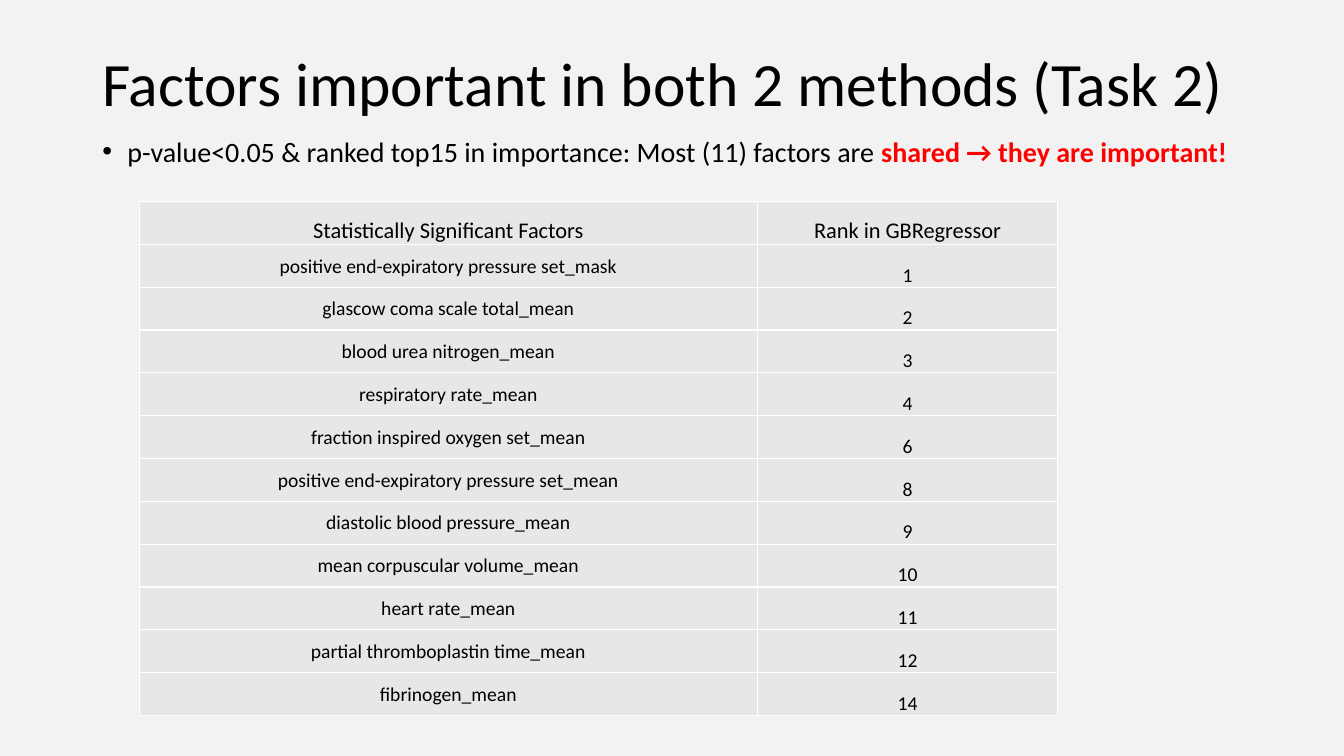
from lxml import etree
from pptx import Presentation
from pptx.dml.color import RGBColor
from pptx.enum.text import MSO_ANCHOR, PP_ALIGN
from pptx.oxml.ns import qn
from pptx.util import Pt

TOP, MIDDLE, BOTTOM = MSO_ANCHOR.TOP, MSO_ANCHOR.MIDDLE, MSO_ANCHOR.BOTTOM
CENTER = PP_ALIGN.CENTER
COLORS = {"page": "F2F2F2", "cell": "E7E7E7", "border": "FFFFFF", "text": "000000", "accent": "FF0000"}
HEADERS = ("Statistically Significant Factors", "Rank in GBRegressor")
FACTORS = (
    ("positive end-expiratory pressure set_mask", 1),
    ("glascow coma scale total_mean", 2),
    ("blood urea nitrogen_mean", 3),
    ("respiratory rate_mean", 4),
    ("fraction inspired oxygen set_mean", 6),
    ("positive end-expiratory pressure set_mean", 8),
    ("diastolic blood pressure_mean", 9),
    ("mean corpuscular volume_mean", 10),
    ("heart rate_mean", 11),
    ("partial thromboplastin time_mean", 12),
    ("fibrinogen_mean", 14),
)


def color(name):
    return RGBColor.from_string(COLORS[name])


def apply(target, values):
    for name, value in values.items():
        setattr(target, name, value)


class SlideBuilder:
    """Holds the text style and the current page, and adds elements to it."""

    def __init__(self, page, font="Calibri"):
        self.page = page
        self.font = font
        fill = page.background.fill
        fill.solid()
        fill.fore_color.rgb = color("page")

    def add_span(self, para, text, size, tone="text", bold=False):
        span = para.add_run()
        span.text = text
        apply(span.font, {"name": self.font, "size": Pt(size), "bold": bold})
        span.font.color.rgb = color(tone)

    def add_text(self, left, top, width, height, size, spans, anchor=TOP, **spacing):
        box = self.page.shapes.add_textbox(Pt(left), Pt(top), Pt(width), Pt(height))
        apply(box.text_frame, {"word_wrap": True, "vertical_anchor": anchor})
        para = box.text_frame.paragraphs[0]
        apply(para, {"line_spacing": 0.9, **spacing})
        for text, tone, bold in spans:
            self.add_span(para, text, size, tone, bold)
        return para

    def add_bullet(self, para, indent):
        properties = para._p.get_or_add_pPr()
        properties.set("marL", str(Pt(indent)))
        properties.set("indent", str(-Pt(indent)))
        etree.SubElement(properties, qn("a:buFont"), typeface="Arial")
        etree.SubElement(properties, qn("a:buChar"), char="•")

    def add_border(self, cell, width):
        properties = cell._tc.get_or_add_tcPr()
        for side in ("lnL", "lnR", "lnT", "lnB"):
            line = etree.SubElement(properties, qn(f"a:{side}"), w=str(Pt(width)))
            fill = etree.SubElement(line, qn("a:solidFill"))
            etree.SubElement(fill, qn("a:srgbClr"), val=COLORS["border"])

    def fill_cell(self, cell, text, size, anchor):
        self.add_border(cell, 1)
        cell.fill.solid()
        cell.fill.fore_color.rgb = color("cell")
        margins = dict.fromkeys(("margin_left", "margin_right", "margin_top"), Pt(0.7))
        apply(cell, {**margins, "margin_bottom": 0, "vertical_anchor": anchor})
        para = cell.text_frame.paragraphs[0]
        para.alignment = CENTER
        self.add_span(para, text, size)

    def add_table(self, left, top, widths, row_height, rows):
        frame = self.page.shapes.add_table(
            len(rows), len(widths), Pt(left), Pt(top), Pt(sum(widths)), Pt(row_height * len(rows)))
        table = frame.table
        for column, width in zip(table.columns, widths):
            column.width = Pt(width)
        for i, values in enumerate(rows):
            table.rows[i].height = Pt(row_height)
            for j, value in enumerate(values):
                anchor = MIDDLE if i and j == 0 else BOTTOM
                self.fill_cell(table.cell(i, j), str(value), 14 if i else 16, anchor)


def main():
    deck = Presentation()
    apply(deck, {"slide_width": Pt(960), "slide_height": Pt(540)})
    builder = SlideBuilder(deck.slides.add_slide(deck.slide_layouts[6]))
    builder.add_text(66, 28.75, 828, 66.25, 44,
                     [("Factors important in both 2 methods (Task 2)", "text", False)], MIDDLE)
    finding = builder.add_text(66, 95, 819.5, 196.5, 20, [
        ("p-value<0.05 & ranked top15 in importance: Most (11) factors are ", "text", False),
        ("shared → they are important!", "accent", True),
    ], space_before=Pt(10))
    builder.add_bullet(finding, 18)
    builder.add_table(99.5, 144, (441.5, 214.5), 30.6, (HEADERS, *FACTORS))
    deck.save("out.pptx")


if __name__ == "__main__":
    main()
